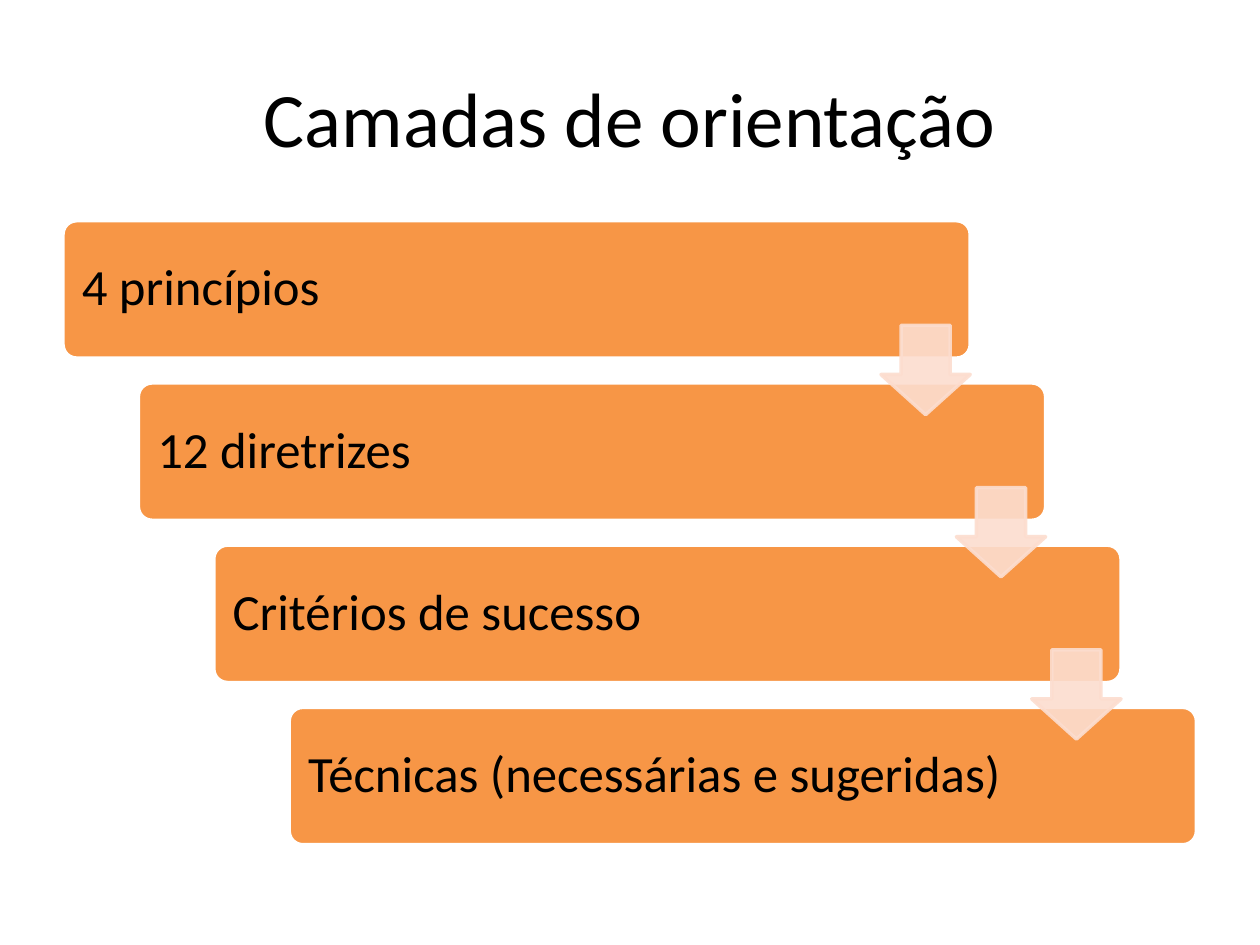
from dataclasses import dataclass

from lxml.etree import SubElement
from pptx import Presentation
from pptx.dml.color import RGBColor
from pptx.enum.shapes import MSO_SHAPE
from pptx.enum.text import MSO_ANCHOR, PP_ALIGN
from pptx.oxml.ns import qn
from pptx.shapes.autoshape import Shape
from pptx.shapes.shapetree import SlideShapes
from pptx.util import Cm, Pt

COLOURS = {"text": "000000", "layer": "F79646", "outline": "FFFFFF", "arrow": "FCDDCF"}
FONT = "Calibri"
STEP_X, STEP_Y = 1.52, 3.27
LAYER_LEFT, LAYER_TOP, LAYER_WIDTH, LAYER_HEIGHT = 1.27, 4.45, 18.29, 2.77
ARROW_LEFT, ARROW_TOP, ARROW_SIZE = 17.76, 6.56, 1.8


@dataclass(frozen=True)
class Layer:
    label: str
    level: int


LAYERS = [
    Layer(label, level)
    for level, label in enumerate([
        "4 princípios",
        "12 diretrizes",
        "Critérios de sucesso",
        "Técnicas (necessárias e sugeridas)",
    ])
]


def write_text(box: Shape, text: str, *, size: float, align: PP_ALIGN,
               margin: float = 0.25, line_spacing: float = 1.0) -> None:
    frame = box.text_frame
    frame.word_wrap = True
    frame.vertical_anchor = MSO_ANCHOR.MIDDLE
    frame.margin_left = frame.margin_right = Cm(margin)
    frame.margin_top = frame.margin_bottom = Cm(margin)
    paragraph = frame.paragraphs[0]
    paragraph.alignment = align
    paragraph.line_spacing = line_spacing
    run = paragraph.add_run()
    run.text = text
    run.font.name = FONT
    run.font.size = Pt(size)
    run.font.color.rgb = RGBColor.from_string(COLOURS["text"])


def paint(shape: Shape, fill: str, line: str, opacity: int = 100) -> None:
    shape.shadow.inherit = False
    shape.fill.solid()
    shape.fill.fore_color.rgb = RGBColor.from_string(COLOURS[fill])
    shape.line.color.rgb = RGBColor.from_string(COLOURS[line])
    shape.line.width = Pt(2)
    if opacity < 100:
        for colour in shape.element.spPr.iter(qn("a:srgbClr")):
            SubElement(colour, qn("a:alpha"), val=str(opacity * 1000))


def draw_layer(shapes: SlideShapes, layer: Layer) -> None:
    bar = shapes.add_shape(
        MSO_SHAPE.ROUNDED_RECTANGLE,
        Cm(LAYER_LEFT + layer.level * STEP_X), Cm(LAYER_TOP + layer.level * STEP_Y),
        Cm(LAYER_WIDTH), Cm(LAYER_HEIGHT))
    bar.adjustments[0] = 0.1
    paint(bar, "layer", "outline")
    write_text(bar, layer.label, size=29, align=PP_ALIGN.LEFT, margin=0.3, line_spacing=0.9)


def draw_arrow(shapes: SlideShapes, layer: Layer) -> None:
    arrow = shapes.add_shape(
        MSO_SHAPE.DOWN_ARROW,
        Cm(ARROW_LEFT + layer.level * STEP_X), Cm(ARROW_TOP + layer.level * STEP_Y),
        Cm(ARROW_SIZE), Cm(ARROW_SIZE))
    arrow.adjustments[0] = 0.55
    arrow.adjustments[1] = 0.45
    paint(arrow, "arrow", "arrow", opacity=90)


def main() -> None:
    """Build the slide of stepped guidance layers."""
    deck = Presentation()
    deck.slide_width, deck.slide_height = Cm(25.4), Cm(19.05)
    shapes = deck.slides.add_slide(deck.slide_layouts[6]).shapes
    title = shapes.add_textbox(Cm(1.27), Cm(0.76), Cm(22.86), Cm(3.18))
    write_text(title, "Camadas de orientação", size=44, align=PP_ALIGN.CENTER)
    for layer in LAYERS:
        draw_layer(shapes, layer)
    for layer in LAYERS[:-1]:
        draw_arrow(shapes, layer)
    deck.save("out.pptx")


if __name__ == "__main__":
    main()
